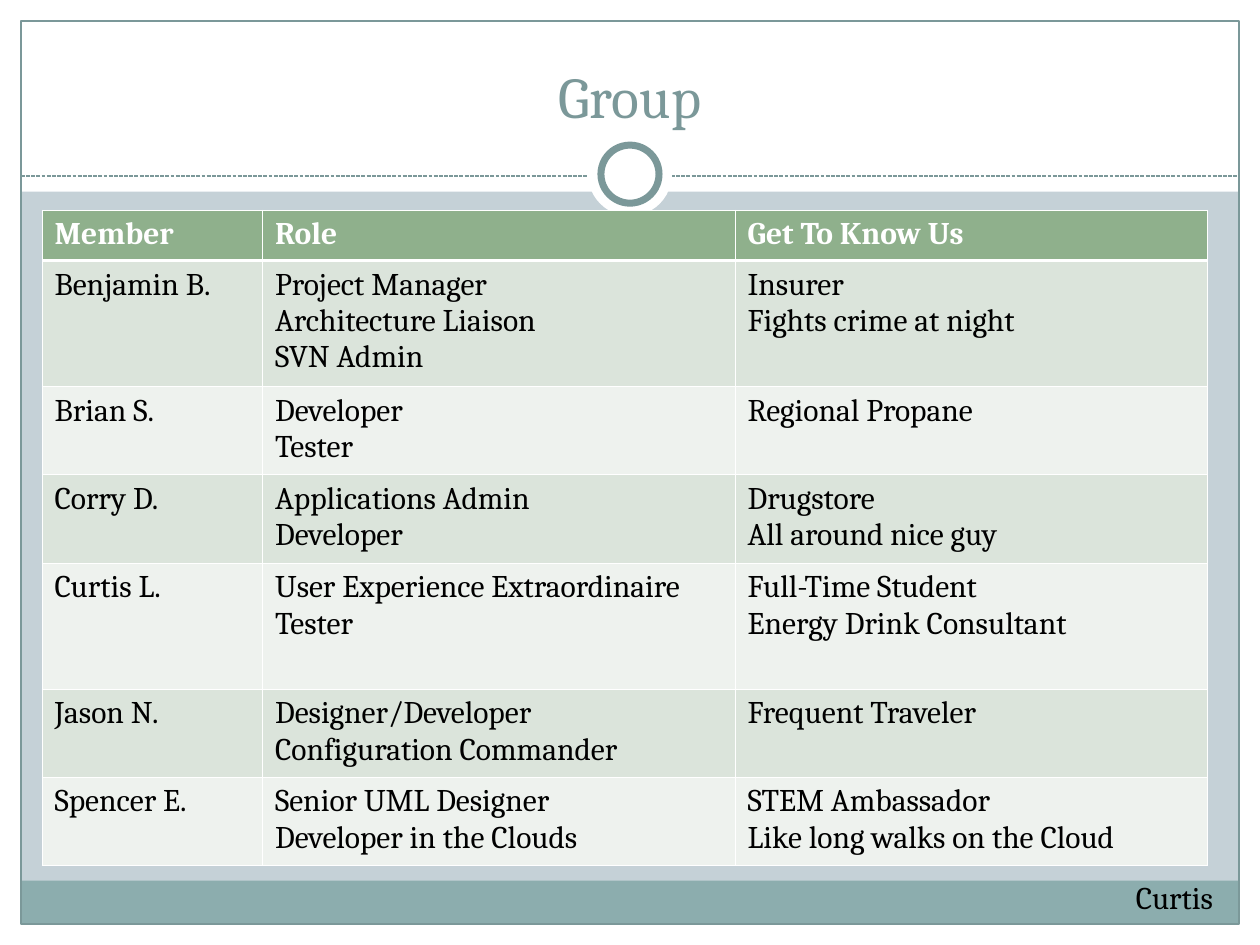
from lxml.etree import SubElement as Sub
from pptx import Presentation
from pptx.dml.color import RGBColor as Rgb
from pptx.enum.dml import MSO_LINE as Dash
from pptx.enum.shapes import MSO_CONNECTOR as Conn, MSO_SHAPE as Shape
from pptx.enum.text import MSO_ANCHOR as Anchor, PP_ALIGN as Align
from pptx.oxml.ns import qn
from pptx.util import Pt

HUES = {
    "back": "C5D1D7", "white": "FFFFFF", "black": "000000", "teal": "7B9899",
    "foot": "8CADAE", "head": "8FB08C", "odd": "DBE4DB", "even": "EEF2EE",
}
FONT = "Cambria"
WIDE, HIGH, EDGE = 720, 540, 12
COLS = [126, 270, 270]
ROWS = [28.8, 72, 50.4, 50.4, 72, 50.4, 50.4]
TEAM = [
    ("Member", "Role", "Get To Know Us"),
    ("Benjamin B.", "Project Manager\nArchitecture Liaison\nSVN Admin",
     "Insurer\nFights crime at night"),
    ("Brian S.", "Developer\nTester", "Regional Propane"),
    ("Corry D.", "Applications Admin\nDeveloper",
     "Drugstore\nAll around nice guy"),
    ("Curtis L.", "User Experience Extraordinaire\nTester",
     "Full-Time Student\nEnergy Drink Consultant"),
    ("Jason N.", "Designer/Developer\nConfiguration Commander",
     "Frequent Traveler"),
    ("Spencer E.", "Senior UML Designer\nDeveloper in the Clouds",
     "STEM Ambassador\nLike long walks on the Cloud"),
]


def hue(name):
    return Rgb.from_string(HUES[name])


def write(frame, text, size=18, color="black", bold=False, align=Align.LEFT):
    """Put text in a frame, one paragraph for each line."""
    frame.word_wrap = True
    for i, line in enumerate(text.split("\n")):
        para = frame.add_paragraph() if i else frame.paragraphs[0]
        para.alignment = align
        run = para.add_run()
        run.text = line
        font = run.font
        font.name, font.size, font.bold = FONT, Pt(size), bold
        font.color.rgb = hue(color)


def add_text(slide, box, text, anchor=Anchor.TOP, **form):
    frame = slide.shapes.add_textbox(*map(Pt, box)).text_frame
    frame.vertical_anchor = anchor
    write(frame, text, **form)


def add_form(slide, kind, box, fill=None, line=None, width=0.75):
    form = slide.shapes.add_shape(kind, *map(Pt, box))
    form.shadow.inherit = False
    if fill:
        form.fill.solid()
        form.fill.fore_color.rgb = hue(fill)
    else:
        form.fill.background()
    if line:
        form.line.color.rgb = hue(line)
        form.line.width = Pt(width)
    else:
        form.line.fill.background()


def add_rule(slide, left, right, top):
    rule = slide.shapes.add_connector(
        Conn.STRAIGHT, Pt(left), Pt(top), Pt(right), Pt(top))
    rule.line.color.rgb = hue("teal")
    rule.line.width = Pt(0.75)
    rule.line.dash_style = Dash.SQUARE_DOT
    Sub(rule._element.spPr, qn("a:effectLst"))


def edge(cell, widths):
    """Draw white borders; widths run left, right, top, bottom."""
    props = cell._tc.get_or_add_tcPr()
    for side, width in zip("LRTB", widths):
        line = Sub(props, qn(f"a:ln{side}"), w=str(int(Pt(width))))
        fill = Sub(line, qn("a:solidFill"))
        Sub(fill, qn("a:srgbClr"), val=HUES["white"])


def add_team(slide, left, top):
    table = slide.shapes.add_table(
        len(ROWS), len(COLS), Pt(left), Pt(top),
        Pt(sum(COLS)), Pt(sum(ROWS))).table
    for col, width in zip(table.columns, COLS):
        col.width = Pt(width)
    for r, (row, height) in enumerate(zip(table.rows, ROWS)):
        row.height = Pt(height)
        band = "head" if r == 0 else "odd" if r % 2 else "even"
        thin, thick = 0.45, 1.47
        widths = (thin, thin, thick if r == 1 else thin,
                  thick if r == 0 else thin)
        for cell, text in zip(row.cells, TEAM[r]):
            edge(cell, widths)
            cell.fill.solid()
            cell.fill.fore_color.rgb = hue(band)
            write(cell.text_frame, text, bold=r == 0,
                  color="black" if r else "white")


def main():
    deck = Presentation()
    deck.slide_width, deck.slide_height = Pt(WIDE), Pt(HIGH)
    slide = deck.slides.add_slide(deck.slide_layouts[6])
    slide.background.fill.solid()
    slide.background.fill.fore_color.rgb = hue("back")

    # White margins and title band
    for box in ((0, HIGH - EDGE, WIDE, EDGE), (0, 0, WIDE, 109.5),
                (0, 0, EDGE, HIGH), (WIDE - EDGE, 0, EDGE, HIGH)):
        add_form(slide, Shape.RECTANGLE, box, "white")

    # Footer band, frame and dashed rule
    span = WIDE - 2 * EDGE
    add_form(slide, Shape.RECTANGLE, (EDGE, 503.2, span, 24.5), "foot")
    add_form(slide, Shape.RECTANGLE,
             (EDGE, EDGE, span, HIGH - 2 * EDGE), line="teal")
    add_rule(slide, EDGE, WIDE - EDGE, 100.6)

    # Ring on the rule
    for size, line in ((48, None), (33.2, "teal")):
        box = (WIDE / 2 - size / 2, 99.5 - size / 2, size, size)
        add_form(slide, Shape.OVAL, box, "white", line, 4)

    # Title, team table and speaker
    add_text(slide, (24, 18, 672, 60), "Group", Anchor.BOTTOM,
             size=33, color="teal", align=Align.CENTER)
    add_team(slide, 24, 120)
    add_text(slide, (642, 498, 120, 28.8), "Curtis")

    deck.save("out.pptx")


if __name__ == "__main__":
    main()
